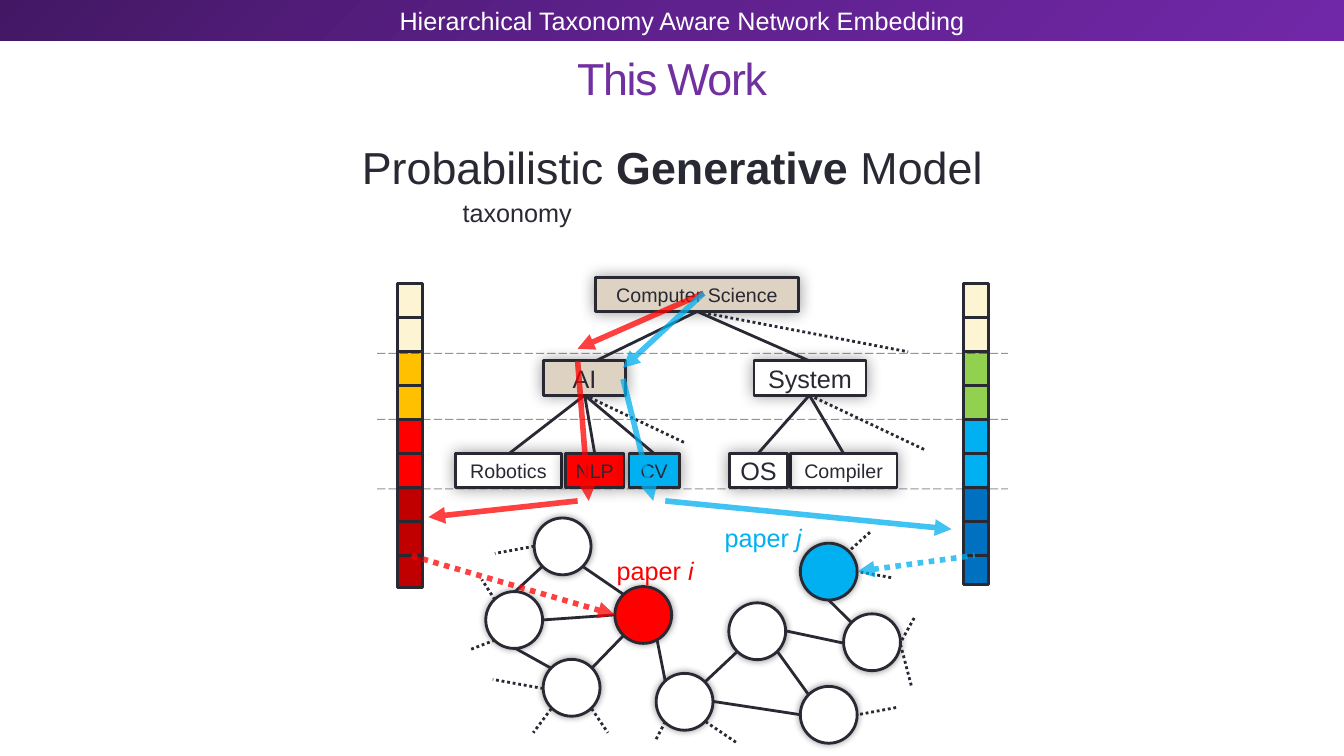
"""Build the slide on a generative model for taxonomy aware network embedding."""
from lxml.etree import SubElement as Sub
from pptx import Presentation
from pptx.dml.color import RGBColor as RGB
from pptx.enum.dml import MSO_LINE as Dash
from pptx.enum.shapes import MSO_CONNECTOR as Conn, MSO_SHAPE as Kind
from pptx.enum.text import MSO_ANCHOR as Anchor, MSO_AUTO_SIZE as Auto, PP_ALIGN as Align
from pptx.oxml.ns import qn
from pptx.util import Pt

HUES = {
    "ink": "292934", "white": "FFFFFF", "title": "7030A0", "tan": "DED2C2",
    "cream": "FDF4D3", "gold": "FFC000", "red": "FF0000", "wine": "C00000",
    "green": "92D050", "sky": "00B0F0", "blue": "0070C0",
    "dark": "431764", "mid": "5F218E", "light": "7128A8",
}


class Pen:
    def __init__(self, slide, face="Arial"):
        self.slide, self.face = slide, face

    def hue(self, name):
        return RGB.from_string(HUES[name])

    def text(self, shape, runs, size, hue="ink", align=Align.CENTER, wrap=True, anchor=Anchor.TOP):
        frame = shape.text_frame
        frame.word_wrap, frame.vertical_anchor = wrap, anchor
        para = frame.paragraphs[0]
        para.alignment = align
        for words, style in runs:
            run = para.add_run()
            run.text = words
            font = run.font
            font.name, font.size = self.face, Pt(size)
            font.color.rgb = self.hue(hue)
            font.bold, font.italic = style == "b", style == "i"
        return frame

    def title(self, words, box):
        shape = self.slide.shapes.title
        shape.left, shape.top, shape.width, shape.height = map(Pt, box)
        frame = self.text(shape, [(words, "")], 32, "title", anchor=Anchor.MIDDLE)
        frame.auto_size = Auto.NONE
        frame.paragraphs[0].runs[0].font._element.set("spc", "-100")

    def label(self, runs, box, size, hue="ink", grow=False, **style):
        shape = self.slide.shapes.add_textbox(*map(Pt, box))
        frame = self.text(shape, runs, size, hue, wrap=not grow, **style)
        if grow:
            frame.auto_size = Auto.SHAPE_TO_FIT_TEXT

    def shape(self, kind, box, fill, width=2, blur=0):
        shape = self.slide.shapes.add_shape(kind, *map(Pt, box))
        shape.shadow.inherit = False
        shape.fill.solid()
        shape.fill.fore_color.rgb = self.hue(fill)
        if width:
            shape.line.color.rgb = self.hue("ink")
            shape.line.width = Pt(width)
        else:
            shape.line.fill.background()
        if blur:
            glow = Sub(shape._element.spPr.find(qn("a:effectLst")), qn("a:outerShdw"),
                       blurRad=str(Pt(blur)), dist="0", dir="0", algn="ctr", rotWithShape="0")
            tint = Sub(glow, qn("a:srgbClr"), val="000000")
            Sub(tint, qn("a:alpha"), val="40000")
        return shape

    def band(self, box, hues):
        shape = self.shape(Kind.RECTANGLE, box, hues[0], 0)
        shape.fill.gradient()
        grad = shape._element.spPr.find(qn("a:gradFill"))
        for part in list(grad):
            grad.remove(part)
        stops = Sub(grad, qn("a:gsLst"))
        for i, hue in enumerate(hues):
            stop = Sub(stops, qn("a:gs"), pos=str(i * 100000 // (len(hues) - 1)))
            Sub(stop, qn("a:srgbClr"), val=HUES[hue])
        Sub(grad, qn("a:lin"), ang="2700000", scaled="0")

    def line(self, ends, hue="ink", width=2, dash=None, alpha=100, tip=False):
        link = self.slide.shapes.add_connector(Conn.STRAIGHT, *map(Pt, ends))
        line = link.line
        line.color.rgb = self.hue(hue)
        line.width = Pt(width)
        if dash:
            line.dash_style = dash
        if alpha < 100:
            tint = next(line._ln.iter(qn("a:srgbClr")))
            Sub(tint, qn("a:alpha"), val=str(alpha * 1000))
        if tip:
            Sub(line._ln, qn("a:headEnd"), type="triangle")
        Sub(link._element.spPr, qn("a:effectLst"))


NODES = [
    (347, 422.6, "white"), (388, 471, "white"), (381.6, 370, "white"),
    (439.2, 419, "red"), (468.7, 481, "white"), (520.6, 430.6, "white"),
    (571.7, 388, "sky"), (571.7, 490.3, "white"), (602.6, 438.5, "white"),
]
EDGES = [
    (416.2, 404.6, 445.7, 424.8), (388, 442.8, 439.2, 439.2),
    (422.6, 477.4, 445.7, 453.6), (469.4, 457.2, 475.2, 486.7),
    (527, 465.1, 504, 486.7), (387.4, 404.6, 367.9, 422.6),
    (393.8, 477.4, 367.9, 463), (577.4, 496, 555.1, 465.1),
    (608.4, 445, 591.8, 428.4), (602.6, 459.4, 561.6, 450.7),
    (571.7, 510.5, 509.8, 501.1),
]
STUBS = [
    (653, 441.4, 643, 459.4), (650.9, 489.6, 643, 459.4),
    (640.1, 505.4, 612.7, 510.5), (636.5, 412.6, 612.7, 408.2),
    (621.4, 380.2, 606.2, 393.8), (393.8, 506.2, 380.9, 523.4),
    (475.2, 515.5, 468, 529.2), (422.6, 506.2, 434.2, 523.4),
    (353.5, 457.2, 334.8, 464.4), (388, 491.8, 352, 485.3),
    (381.6, 390.2, 353.5, 395.3), (353.5, 428.4, 344.2, 414),
    (504, 515.5, 526.3, 530.6),
]
TALL = 24.5
ROWS = [198, 257.8, 324]
TOPICS = [
    ("Computer Science", 425.5, 0, 144.7, "tan", 14),
    ("AI", 388, 1, 59, "tan", 18), ("System", 538.6, 1, 80, "white", 18),
    ("Robotics", 325.4, 2, 75.6, "white", 14), ("NLP", 403.9, 2, 41.8, "red", 14),
    ("CV", 449.3, 2, 36, "sky", 14), ("Compiler", 564.5, 2, 76.3, "white", 14),
    ("OS", 521.3, 2, 41, "white", 18),
]
TREE = [
    (498, 0, [425.5, 578.2], (648.7, 251.3)),
    (417.6, 1, [363.6, 424.8, 467.3], (490.3, 316.8)),
    (578.2, 1, [541.4, 602.6], (661.7, 321.8)),
]
BARS = [
    (283.9, 395.3, ["cream", "gold", "red", "wine"]),
    (687.9, 393.1, ["cream", "green", "sky", "blue"]),
]
CELL = 24.3
PATHS = [
    ("red", Dash.ROUND_DOT, (439.2, 439.2, 293, 396.7)),
    ("sky", Dash.ROUND_DOT, (612.7, 408.2, 696.2, 396.7)),
    ("red", None, (306, 369.4, 412.6, 357.8)),
    ("red", None, (420.5, 357.8, 412.6, 257.8)),
    ("red", None, (412.6, 249.1, 502.6, 209.5)),
    ("sky", None, (679.7, 378, 475.2, 357.8)),
    ("sky", None, (466.6, 357.8, 445, 270.7)),
    ("sky", None, (445, 262.8, 502.6, 209.5)),
]


def main():
    deck = Presentation()
    deck.slide_width, deck.slide_height = Pt(960), Pt(540)
    pen = Pen(deck.slides.add_slide(deck.slide_layouts[5]))

    pen.band((0, 0, 960, 29), ["dark", "mid", "light"])
    pen.title("This Work", (26.6, 37.4, 907, 36))
    pen.label([("Hierarchical Taxonomy Aware Network Embedding", "")], (264, 1.4, 432, 26),
              18, "white", align=Align.RIGHT, anchor=Anchor.MIDDLE)

    for x, y, hue in NODES:
        pen.shape(Kind.FLOWCHART_CONNECTOR, (x, y, 40.6, 40.6), hue, blur=5)
    for ends in EDGES:
        pen.line(ends)
    for ends in STUBS:
        pen.line(ends, dash=Dash.ROUND_DOT)
    for mark, x, y, hue in [("i", 433.4, 393.1, "red"), ("j", 510.5, 369.4, "sky")]:
        pen.label([("paper ", ""), (mark, "i")], (x, y, 70, 29), 18, hue, True, align=Align.LEFT)

    for name, x, row, wide, hue, size in TOPICS:
        box = pen.shape(Kind.RECTANGLE, (x, ROWS[row], wide, TALL), hue, blur=11)
        pen.text(box, [(name, "")], size, wrap=False, anchor=Anchor.MIDDLE)
    for x, row, kids, rest in TREE:
        foot = ROWS[row] + TALL
        for kid in kids:
            pen.line((x, foot, kid, ROWS[row + 1]))
        pen.line((x, foot, *rest), dash=Dash.ROUND_DOT)

    for x, last, hues in BARS:
        pen.shape(Kind.RECTANGLE, (x, last, 18, CELL), hues[-1], 2.08)
        for i in range(8):
            pen.shape(Kind.RECTANGLE, (x, 202.7 + i * CELL, 18, CELL), hues[i // 2], 2.08)

    for y in (299.5, 349.2, 252.4):
        pen.line((269.3, y, 720, y), width=0.75, dash=Dash.LONG_DASH, alpha=50)
    for hue, dash, ends in PATHS:
        pen.line(ends, hue, 4, dash, 75, True)

    tag = pen.shape(Kind.RECTANGLE, (322.6, 137.5, 93.6, 29), "white", 0)
    pen.text(tag, [("taxonomy", "")], 18, wrap=False).auto_size = Auto.SHAPE_TO_FIT_TEXT
    pen.label([("Probabilistic ", ""), ("Generative", "b"), (" Model", "")],
              (96.5, 96, 767.5, 72.7), 32)
    deck.save("out.pptx")


if __name__ == "__main__":
    main()
